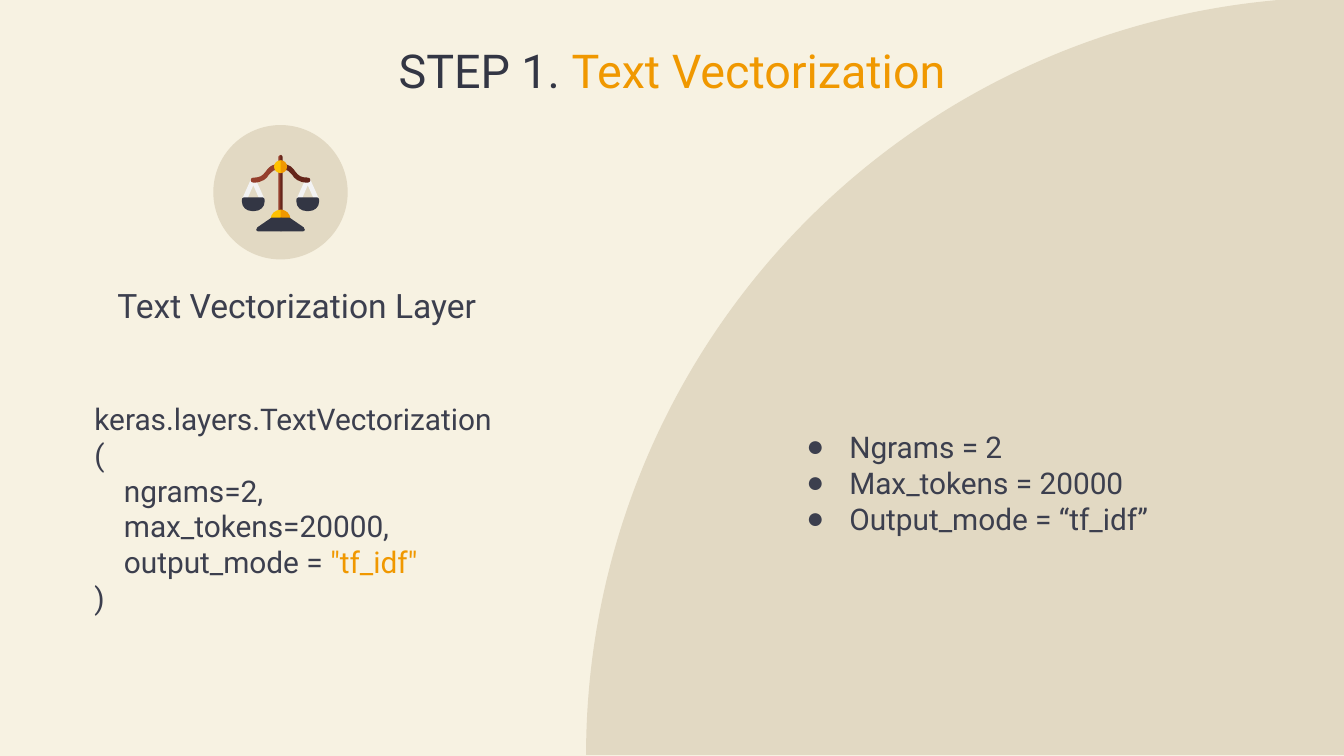
from lxml import etree
from pptx import Presentation
from pptx.dml.color import RGBColor
from pptx.enum.shapes import MSO_SHAPE
from pptx.enum.text import MSO_ANCHOR, MSO_AUTO_SIZE, PP_ALIGN
from pptx.oxml.ns import qn
from pptx.util import Pt

PIE, OVAL = MSO_SHAPE.PIE, MSO_SHAPE.OVAL
TOP, BOTTOM = MSO_ANCHOR.TOP, MSO_ANCHOR.BOTTOM
LEFT, CENTER = PP_ALIGN.LEFT, PP_ALIGN.CENTER
NO_AUTOFIT = MSO_AUTO_SIZE.NONE

WIDTH, HEIGHT = 720, 405
COMPARISON_LAYOUT = 4
COLORS = {
    "cream": "F7F2E2", "sand": "E2D9C3", "ink": "333644", "text": "3C3F4E",
    "orange": "F09800", "yellow": "FFC200", "brown": "953F2C",
    "dark brown": "65251A", "white": "F3F3F3",
}

# Right halves of the scales: x from the axis, y on the slide.
# Two numbers make a line to a point, six make a cubic curve.
SCALES_AXIS = 150.3
SCALES_PARTS = [
    ("brown", "dark brown", [  # post
        (0, 83), (0.6, 83, 1.2, 83.6, 1.2, 84.2), (1.2, 120.6),
        (1.2, 121.3, 0.7, 121.7, 0, 121.7)]),
    ("yellow", "orange", [  # dome
        (0, 112.3), (2.9, 112.3, 5.3, 114.6, 5.3, 117.4), (5.3, 118),
        (5.3, 119, 4.7, 119.5, 3.8, 119.5), (0, 119.5)]),
    ("ink", "ink", [  # foot
        (0, 116.6), (4.8, 116.6), (5.4, 117), (12.4, 121.8),
        (13.4, 122.5, 13.3, 124, 11.7, 124), (0, 124)]),
    ("white", "white", [  # hanger
        (14.6, 95.2), (14, 95.2, 13.6, 95.5, 13.4, 95.9), (8.6, 106.6),
        (8.6, 108, 10.4, 108, 11, 107.5), (14.6, 99.3), (18.2, 107.5),
        (18.8, 108, 20.6, 108, 20.6, 106.6), (15.8, 95.9),
        (15.6, 95.5, 15.2, 95.2, 14.6, 95.2)]),
    ("brown", "dark brown", [  # arm
        (0, 87.8), (5.2, 87.8, 6.6, 90, 8.1, 92.2),
        (9.8, 94.2, 10.8, 95.2, 14.6, 95.2),
        (16.4, 95.2, 16.4, 97.9, 14.6, 97.9),
        (12.1, 97.9, 10.3, 97.4, 8.9, 96.5),
        (7.5, 95.8, 6.9, 94.7, 6.2, 93.6),
        (4.9, 92, 3.8, 90.7, 0, 90.7)]),
    ("ink", "ink", [  # pan
        (9.5, 105.8), (8.8, 105.8, 8.5, 106.2, 8.5, 108),
        (8.5, 111, 10.9, 113.1, 14, 113.1), (15.2, 113.1),
        (18.3, 113.1, 20.7, 111, 20.7, 108),
        (20.7, 106.2, 20.4, 105.8, 19.7, 105.8)]),
    ("yellow", "orange", [  # knob
        (0, 85.8), (2, 85.8, 3.5, 87.4, 3.5, 89.3),
        (3.5, 91.2, 2, 92.8, 0, 92.8)]),
]


class SlideBuilder:
    """Holds the style and the slide being built."""

    font = "Roboto"

    def __init__(self, slide):
        self.slide = slide
        self.background(COLORS["cream"])

    def background(self, color):
        fill = self.slide.background.fill
        fill.solid()
        fill.fore_color.rgb = RGBColor.from_string(color)

    def paint(self, shape, color):
        shape.shadow.inherit = False
        shape.fill.solid()
        shape.fill.fore_color.rgb = RGBColor.from_string(COLORS[color])
        shape.line.fill.background()

    def preset(self, kind, box, color):
        shape = self.slide.shapes.add_shape(kind, *map(Pt, box))
        self.paint(shape, color)
        return shape

    def quarter_circle(self, box, color):
        """Draw the top left quarter, behind everything else."""
        shape = self.preset(PIE, box, color)
        shape.adjustments[0], shape.adjustments[1] = 108, 162
        self.slide.shapes.title.element.addprevious(shape.element)

    def curved_outline(self, shapes, path, place, color):
        """Draw all points as lines, then join triples into cubic curves."""
        points = [place(*segment[i:i + 2])
                  for segment in path for i in range(0, len(segment), 2)]
        builder = shapes.build_freeform(*points[0])
        builder.add_line_segments(points[1:], close=True)
        shape = builder.convert_to_shape()
        lines = iter(shape.element.findall(".//" + qn("a:lnTo")))
        for segment in path[1:]:
            line = next(lines)
            if len(segment) == 6:
                line.tag = qn("a:cubicBezTo")
                for control in (next(lines), next(lines)):
                    line.append(control[0])
                    control.getparent().remove(control)
        self.paint(shape, color)

    def mirrored_icon(self, axis, parts):
        """Draw each half part on both sides; left halves reach under right ones."""
        group = self.slide.shapes.add_group_shape()

        def place_left(x, y):
            return Pt(axis - (x or -0.5)), Pt(y)

        def place_right(x, y):
            return Pt(axis + x), Pt(y)

        for left_color, right_color, path in parts:
            self.curved_outline(group.shapes, path, place_left, left_color)
            self.curved_outline(group.shapes, path, place_right, right_color)

    def text(self, index, box, lines, size, align=LEFT, anchor=TOP, bullet=None):
        """Fill a placeholder; each line is a list of (text, color) pairs."""
        shape = self.slide.placeholders[index]
        shape.left, shape.top, shape.width, shape.height = map(Pt, box)
        frame = shape.text_frame
        frame.auto_size, frame.word_wrap = NO_AUTOFIT, True
        frame.vertical_anchor = anchor
        frame.margin_left = frame.margin_right = Pt(7.2)
        frame.margin_top = frame.margin_bottom = Pt(7.2)
        for number, line in enumerate(lines):
            paragraph = frame.add_paragraph() if number else frame.paragraphs[0]
            self.set_bullet(paragraph, bullet)
            paragraph.alignment = align
            paragraph.space_before = Pt(0)
            for text, color in line:
                run = paragraph.add_run()
                run.text = text
                run.font.name, run.font.size, run.font.bold = self.font, Pt(size), False
                run.font.color.rgb = RGBColor.from_string(COLORS[color])

    def set_bullet(self, paragraph, bullet):
        properties = paragraph._p.get_or_add_pPr()
        properties.set("marL", str(Pt(36 if bullet else 0)))
        properties.set("indent", str(Pt(-23 if bullet else 0)))
        if not bullet:
            etree.SubElement(properties, qn("a:buNone"))
            return
        color = etree.SubElement(properties, qn("a:buClr"))
        etree.SubElement(color, qn("a:srgbClr"), val=COLORS["text"])
        etree.SubElement(properties, qn("a:buChar"), char=bullet)

    def remove_empty_placeholders(self):
        for shape in list(self.slide.placeholders):
            if not shape.text_frame.text:
                shape.element.getparent().remove(shape.element)


def main():
    presentation = Presentation()
    presentation.slide_width, presentation.slide_height = Pt(WIDTH), Pt(HEIGHT)
    layout = presentation.slide_layouts[COMPARISON_LAYOUT]
    builder = SlideBuilder(presentation.slides.add_slide(layout))

    builder.quarter_circle((314, -1.5, 812, 812), "sand")
    builder.preset(OVAL, (SCALES_AXIS - 36, 67, 72, 72), "sand")
    builder.mirrored_icon(SCALES_AXIS, SCALES_PARTS)

    builder.text(0, (93.6, 15, 532.8, 52),
                 [[("STEP 1. ", "ink"), ("Text Vectorization", "orange")]],
                 25, align=CENTER)
    builder.text(1, (38.8, 124, 240.5, 57.5),
                 [[("Text Vectorization Layer", "text")]],
                 18, align=CENTER, anchor=BOTTOM)
    code = [
        [("keras.layers.TextVectorization", "text")],
        [("(", "text")],
        [("    ngrams=2,", "text")],
        [("    max_tokens=20000,", "text")],
        [("    output_mode = ", "text"), ('"tf_idf"', "orange")],
        [(")", "text")],
    ]
    builder.text(2, (43.4, 207.4, 403, 107.5), code, 16)
    settings = ["Ngrams = 2", "Max_tokens = 20000", "Output_mode = “tf_idf”"]
    builder.text(4, (411.8, 222.5, 403, 107.5),
                 [[(setting, "text")] for setting in settings], 16, bullet="●")
    builder.remove_empty_placeholders()
    presentation.save("out.pptx")


if __name__ == "__main__":
    main()
